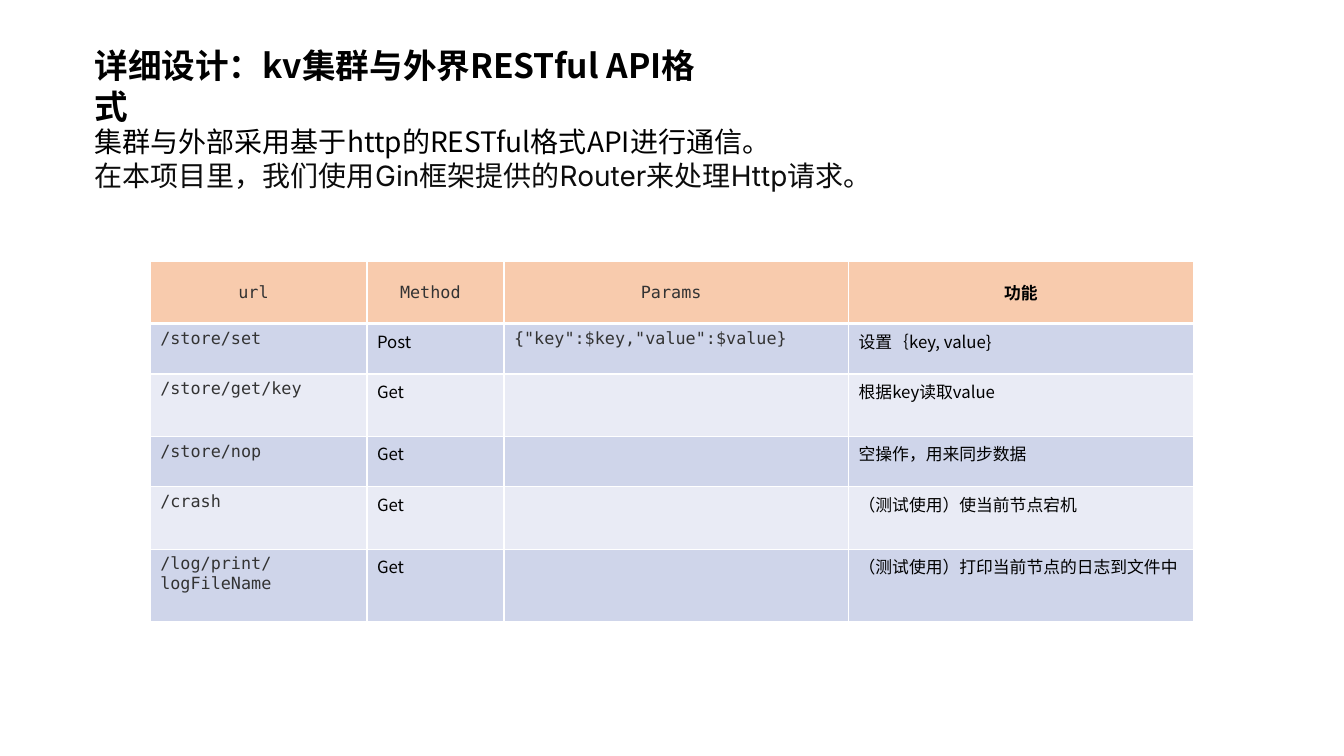
import pptx
import pptx.util
import pptx.dml.color
import pptx.enum.text
import pptx.oxml.ns
import lxml.etree

Pt = pptx.util.Pt
qn = pptx.oxml.ns.qn
ALIGN = pptx.enum.text.PP_ALIGN
ANCHOR = pptx.enum.text.MSO_ANCHOR
SANS, MONO, INTER = "Noto Sans CJK SC", "DejaVu Sans Mono", "Inter"
COLORS = {
    "black": "000000",
    "ink": "0C0C0C",
    "code": "333333",
    "white": "FFFFFF",
    "header": "F8CBAD",
    "odd": "CFD5EA",
    "even": "E9EBF5",
}


def write(paragraph, text, size=12, font=SANS, color="black", bold=False, align=ALIGN.LEFT):
    paragraph.alignment = align
    run = paragraph.add_run()
    run.text = text
    run.font.size = Pt(size)
    run.font.bold = bold
    run.font.name = font
    run.font.color.rgb = pptx.dml.color.RGBColor.from_string(COLORS[color])
    east_asian = lxml.etree.SubElement(run.font._element, qn("a:ea"))
    east_asian.set("typeface", SANS)


def style_cell(cell, fill, bottom_width):
    properties = cell._tc.get_or_add_tcPr()
    for side in ("L", "R", "T", "B"):
        border = lxml.etree.SubElement(properties, qn("a:ln" + side))
        border.set("w", str(Pt(bottom_width if side == "B" else 1)))
        solid = lxml.etree.SubElement(border, qn("a:solidFill"))
        lxml.etree.SubElement(solid, qn("a:srgbClr")).set("val", COLORS["white"])
    cell.fill.solid()
    cell.fill.fore_color.rgb = pptx.dml.color.RGBColor.from_string(COLORS[fill])


deck = pptx.Presentation()
deck.slide_width, deck.slide_height = Pt(960), Pt(540)
slide = deck.slides.add_slide(deck.slide_layouts[6])

title = slide.shapes.add_textbox(Pt(60.5), Pt(28.8), Pt(451.4), Pt(36)).text_frame
title.word_wrap = True
write(title.paragraphs[0], "详细设计：kv集群与外界RESTful API格式", size=24, bold=True)

intro = slide.shapes.add_textbox(Pt(60.5), Pt(85.7), Pt(846.7), Pt(80)).text_frame
intro.word_wrap = True
write(intro.paragraphs[0], "集群与外部采用基于http的RESTful格式API进行通信。", size=20)
write(intro.add_paragraph(), "在本项目里，我们使用Gin框架提供的Router来处理Http请求。",
      size=20, font=INTER, color="ink")

endpoints = [
    ("url ", "Method ", "Params ", "功能"),
    ("/store/set", "Post", '{"key":$key,"value":$value}', "设置｛key, value}"),
    ("/store/get/key", "Get", "", "根据key读取value"),
    ("/store/nop", "Get", "", "空操作，用来同步数据"),
    ("/crash", "Get", "", "（测试使用）使当前节点宕机"),
    ("/log/print/logFileName", "Get", "", "（测试使用）打印当前节点的日志到文件中"),
]
column_widths = [154.8, 97.9, 246.2, 246.2]
row_heights = [44.6, 36, 44.6, 36, 44.6, 51.8]
api_table = slide.shapes.add_table(
    len(endpoints), len(column_widths), Pt(107.3), Pt(186.5),
    Pt(sum(column_widths)), Pt(sum(row_heights))).table
for column, width in zip(api_table.columns, column_widths):
    column.width = Pt(width)

for row_index, endpoint in enumerate(endpoints):
    api_table.rows[row_index].height = Pt(row_heights[row_index])
    is_header = row_index == 0
    fill = "header" if is_header else "odd" if row_index % 2 else "even"
    for column_index, text in enumerate(endpoint):
        cell = api_table.cell(row_index, column_index)
        style_cell(cell, fill, 3 if is_header else 1)
        cell.vertical_anchor = ANCHOR.MIDDLE if is_header else ANCHOR.TOP
        is_code = column_index in ((0, 1, 2) if is_header else (0, 2))
        if text:
            write(cell.text_frame.paragraphs[0], text,
                  font=MONO if is_code else SANS,
                  color="code" if is_code else "black",
                  bold=is_header and not is_code,
                  align=ALIGN.CENTER if is_header else ALIGN.LEFT)

deck.save("out.pptx")
